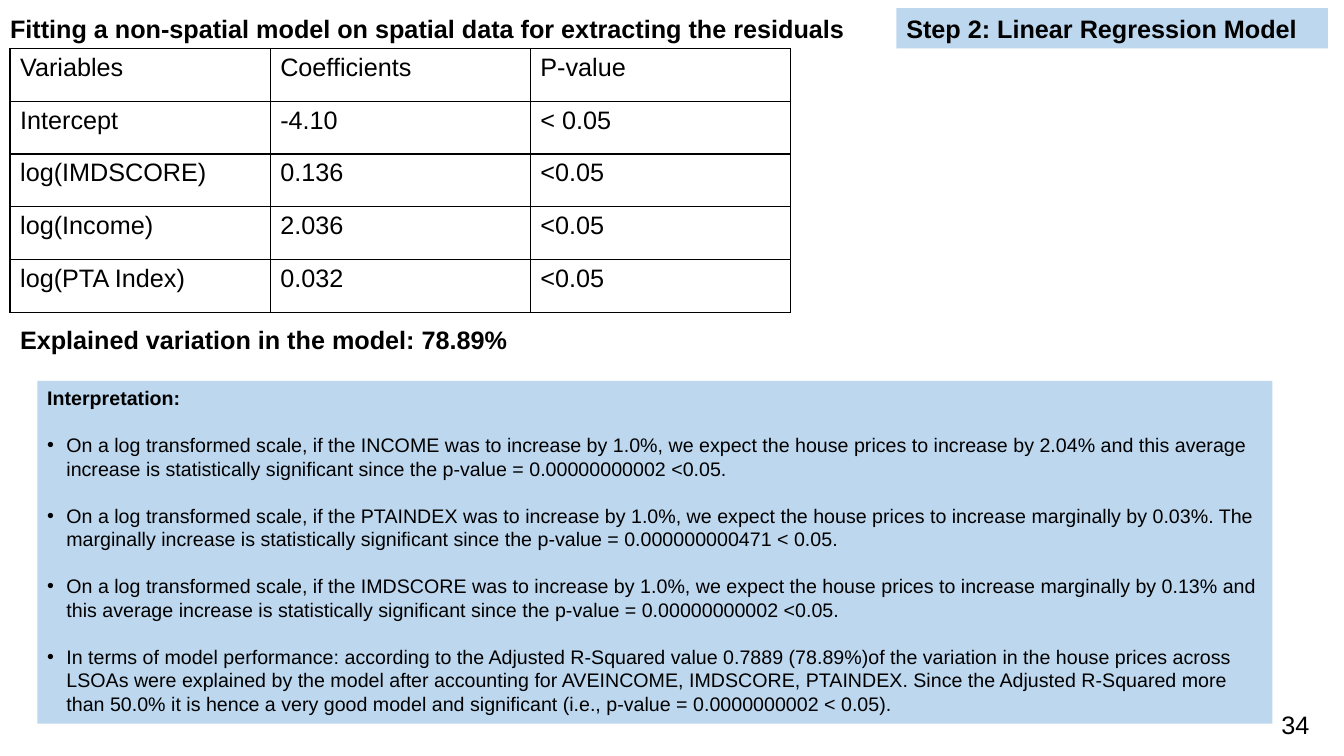
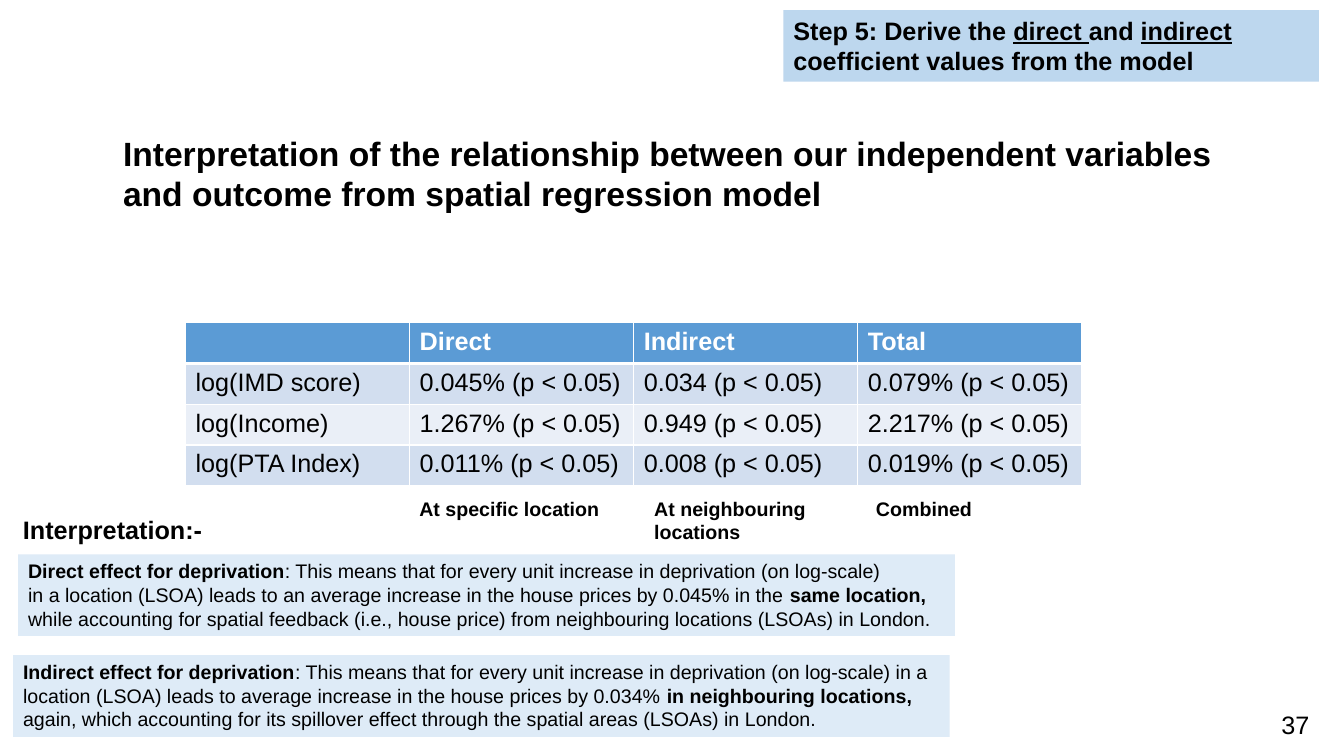
from lxml.etree import SubElement
from pptx import Presentation
from pptx.dml.color import RGBColor
from pptx.enum.shapes import MSO_SHAPE
from pptx.enum.text import MSO_ANCHOR, MSO_AUTO_SIZE, PP_ALIGN
from pptx.oxml.ns import qn
from pptx.util import Inches, Pt

# Shared look
WIDTH, HEIGHT = 13.33, 7.5
BLACK = RGBColor(0x00, 0x00, 0x00)
WHITE = RGBColor(0xFF, 0xFF, 0xFF)
STEP_BLUE = RGBColor(0xBD, 0xD7, 0xEE)
NOTE_BLUE = RGBColor(0xDE, 0xEB, 0xF7)
HEADER_BLUE = RGBColor(0x5B, 0x9B, 0xD5)
BAND_DARK = RGBColor(0xD2, 0xDE, 0xEF)
BAND_LIGHT = RGBColor(0xEA, 0xEF, 0xF7)
FONT = "Arial"
BOLD, PLAIN, UNDERLINED = {"bold": True}, {"bold": False}, {"underline": True}
PAGE_NUMBER_AT = (12.61, 6.99, 0.59, 0.16)
BULLET_INDENT = 0.19
BULLET_GAP = 16.8

# Content of the regression slide; a paragraph is a list of (text, format) runs
REGRESSION_TITLE = ["Fitting a non-spatial model on spatial data for extracting the residuals"]
REGRESSION_STEP = [[("Step 2: Linear Regression Model", {})]]
REGRESSION_ROWS = [
    ("Variables", "Coefficients", "P-value"),
    ("Intercept", "-4.10", "< 0.05"),
    ("log(IMDSCORE)", "0.136", "<0.05"),
    ("log(Income)", "2.036", "<0.05"),
    ("log(PTA Index)", "0.032", "<0.05"),
]
EXPLAINED = [[("Explained variation in the model: 78.89%", {})]]
FINDINGS_HEADING = "Interpretation:"
FINDINGS = [
    "On a log transformed scale, if the INCOME was to increase by 1.0%, we expect the house "
    "prices to increase by 2.04% and this average increase is statistically significant since "
    "the p-value = 0.00000000002 <0.05.",
    "On a log transformed scale, if the PTAINDEX was to increase by 1.0%, we expect the house "
    "prices to increase marginally by 0.03%. The marginally increase is statistically "
    "significant since the p-value = 0.000000000471 < 0.05.",
    "On a log transformed scale, if the IMDSCORE was to increase by 1.0%, we expect the house "
    "prices to increase marginally by 0.13% and this average increase is statistically "
    "significant since the p-value = 0.00000000002 <0.05.",
    "In terms of model performance: according to the Adjusted R-Squared value 0.7889 (78.89%)of "
    "the variation in the house prices across LSOAs were explained by the model after accounting "
    "for AVEINCOME, IMDSCORE, PTAINDEX. Since the Adjusted R-Squared more than 50.0% it is hence "
    "a very good model and significant (i.e., p-value = 0.0000000002 < 0.05).",
]

# Content of the effects slide
EFFECTS_TITLE = ["Interpretation of the relationship between our independent variables",
                 "and outcome from spatial regression model"]
EFFECTS_STEP = [[("Step 5: Derive the ", {}), ("direct ", UNDERLINED), ("and ", {}),
                 ("indirect", UNDERLINED), (" coefficient values from the model", {})]]
EFFECTS_ROWS = [
    ("", "Direct", "Indirect", "Total"),
    ("log(IMD score)", "0.045% (p < 0.05)", "0.034 (p < 0.05)", "0.079% (p < 0.05)"),
    ("log(Income)", "1.267% (p < 0.05)", "0.949 (p < 0.05)", "2.217% (p < 0.05)"),
    ("log(PTA Index)", "0.011% (p < 0.05)", "0.008 (p < 0.05)", "0.019% (p < 0.05)"),
]
# Caption lines with left edge, width and height
CAPTIONS = [
    (["At specific location"], 4.06, 1.99, 0.34),
    (["At neighbouring", "locations"], 6.39, 1.77, 0.57),
    (["Combined"], 8.59, 1.16, 0.34),
]
EFFECTS_HEADING = [[("Interpretation:-", {})]]
# Effect notes with left and top edge
EFFECT_NOTES = [
    (0.18, 5.5, [
        [("Direct effect for deprivation", BOLD),
         (": This means that for every unit increase in deprivation (on log-scale)", {})],
        [("in a location (LSOA) leads to an average increase in the house prices by 0.045% in the ", {}),
         ("same location, ", BOLD),
         ("while accounting for spatial feedback (i.e., house price) from neighbouring locations "
          "(LSOAs) in London.", {})],
    ]),
    (0.13, 6.5, [
        [("Indirect effect for deprivation", BOLD),
         (": This means that for every unit increase in deprivation (on log-scale) in a location "
          "(LSOA) leads to average increase in the house prices by 0.034% ", {}),
         ("in neighbouring locations, ", BOLD),
         ("again, which accounting for its spillover effect through the spatial areas (LSOAs) "
          "in London.", {})],
    ]),
]


def set_font(font, size, color=BLACK, **extra):
    for name, value in {"name": FONT, "size": Pt(size), **extra}.items():
        setattr(font, name, value)
    font.color.rgb = color


def write(frame, paragraphs, size, wrap=True, **base):
    for name, value in {"word_wrap": wrap, "auto_size": MSO_AUTO_SIZE.NONE,
                        "vertical_anchor": MSO_ANCHOR.TOP}.items():
        setattr(frame, name, value)
    for index, runs in enumerate(paragraphs):
        paragraph = frame.add_paragraph() if index else frame.paragraphs[0]
        paragraph.alignment = PP_ALIGN.LEFT
        for text, extra in runs:
            run = paragraph.add_run()
            run.text = text
            set_font(run.font, size, **{**base, **extra})


def add_text(slide, place, paragraphs, size, wrap=False, **base):
    box = slide.shapes.add_textbox(*map(Inches, place))
    write(box.text_frame, paragraphs, size, wrap, **base)


def add_panel(slide, place, fill, paragraphs, size, **base):
    panel = slide.shapes.add_shape(MSO_SHAPE.RECTANGLE, *map(Inches, place))
    panel.shadow.inherit = False
    panel.fill.solid()
    panel.fill.fore_color.rgb = fill
    panel.line.fill.background()
    write(panel.text_frame, paragraphs, size, **base)
    return panel.text_frame


def add_bullet(paragraph):
    properties = paragraph._p.get_or_add_pPr()
    properties.set("marL", str(Inches(BULLET_INDENT)))
    properties.set("indent", str(-Inches(BULLET_INDENT)))
    SubElement(properties, qn("a:buFont")).set("typeface", FONT)
    SubElement(properties, qn("a:buChar")).set("char", "•")
    paragraph.space_before = Pt(BULLET_GAP)


def set_borders(cell, color, widths):
    properties = cell._tc.get_or_add_tcPr()
    for index, (side, width) in enumerate(widths.items()):
        line = properties.makeelement(qn(f"a:{side}"), {"w": str(Pt(width))})
        fill = SubElement(line, qn("a:solidFill"))
        SubElement(fill, qn("a:srgbClr")).set("val", str(color))
        properties.insert(index, line)


def add_grid(slide, place, rows, border, fills=None, header=None, header_rule=1):
    """Table of equal cells; fills alternate below the header colour."""
    left, top, width, height = place
    grid = slide.shapes.add_table(len(rows), len(rows[0]), *map(Inches, place)).table
    grid.first_row = grid.horz_banding = False
    for column in grid.columns:
        column.width = Inches(width / len(rows[0]))
    for r, values in enumerate(rows):
        grid.rows[r].height = Inches(height / len(rows))
        in_header = header is not None and r == 0
        for c, value in enumerate(values):
            cell = grid.cell(r, c)
            cell.text = value
            set_font(cell.text_frame.paragraphs[0].font, 18,
                     WHITE if in_header else BLACK, bold=in_header)
            if fills:
                cell.fill.solid()
                cell.fill.fore_color.rgb = header if in_header else fills[(r - 1) % len(fills)]
            else:
                cell.fill.background()
            set_borders(cell, border, {"lnL": 1, "lnR": 1,
                                       "lnT": header_rule if r == 1 else 1,
                                       "lnB": header_rule if r == 0 else 1})


def start_slide(deck, title_lines, title_at, title_size, step, step_at, number):
    """Slide with its title, step band and page number."""
    slide = deck.slides.add_slide(deck.slide_layouts[5])
    title = slide.shapes.title
    title.left, title.top, title.width, title.height = map(Inches, title_at)
    write(title.text_frame, [[(line, {})] for line in title_lines], title_size, False, bold=True)
    add_panel(slide, step_at, STEP_BLUE, step, 18, bold=True)
    add_text(slide, PAGE_NUMBER_AT, [[(number, {})]], 18, wrap=True)
    return slide


def build_regression(deck):
    slide = start_slide(deck, REGRESSION_TITLE, (0, 0.08, 8.56, 0.4), 18,
                        REGRESSION_STEP, (8.89, 0.08, WIDTH - 9.05, 0.4), "34")
    add_grid(slide, (0.1, 0.48, 7.74, 2.62), REGRESSION_ROWS, BLACK)
    add_text(slide, (0.1, 3.17, 5.08, 0.4), EXPLAINED, 18, bold=True)
    findings = [[(FINDINGS_HEADING, BOLD)]] + [[(finding, PLAIN)] for finding in FINDINGS]
    frame = add_panel(slide, (0.37, 3.78, 12.25, 3.4), STEP_BLUE, findings, 14)
    for paragraph in frame.paragraphs[1:]:
        add_bullet(paragraph)


def build_effects(deck):
    slide = start_slide(deck, EFFECTS_TITLE, (1.12, 1.27, 11.1, 0.91), 24,
                        EFFECTS_STEP, (7.77, 0.1, 5.31, 0.71), "37")
    add_grid(slide, (1.84, 3.2, 8.89, 1.62), EFFECTS_ROWS, WHITE,
             (BAND_DARK, BAND_LIGHT), HEADER_BLUE, header_rule=3)
    for lines, left, width, height in CAPTIONS:
        add_text(slide, (left, 4.88, width, height), [[(line, {})] for line in lines], 14, bold=True)
    add_text(slide, (0.13, 5.05, 2, 0.4), EFFECTS_HEADING, 18, bold=True)
    for left, top, note in EFFECT_NOTES:
        add_panel(slide, (left, top, 9.29, 0.81), NOTE_BLUE, note, 14)


def main():
    deck = Presentation()
    deck.slide_width, deck.slide_height = Inches(WIDTH), Inches(HEIGHT)
    build_regression(deck)
    build_effects(deck)
    deck.save("out.pptx")


if __name__ == "__main__":
    main()
